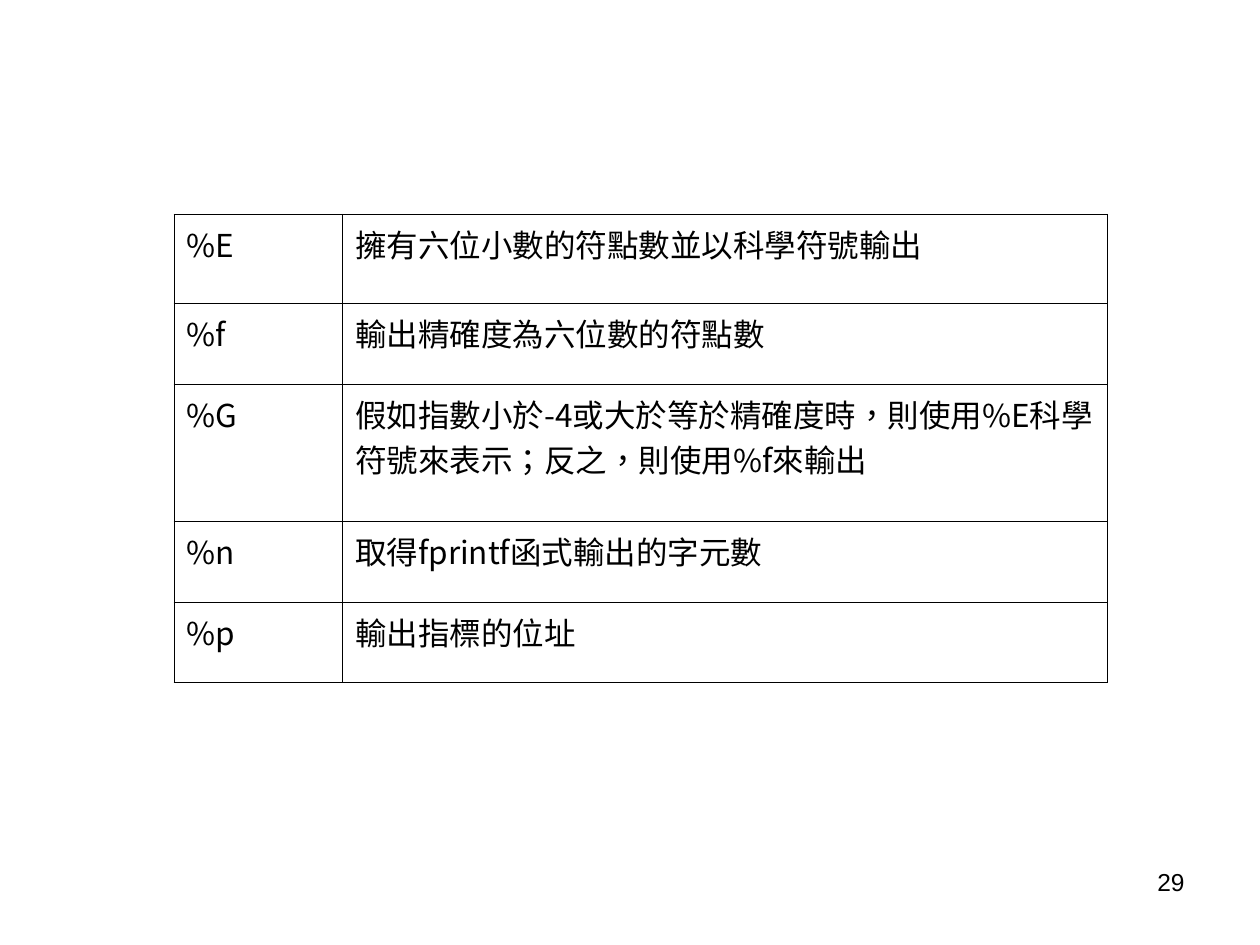
from lxml.etree import SubElement
from pptx import Presentation
from pptx.dml.color import RGBColor
from pptx.enum.lang import MSO_LANGUAGE_ID as Language
from pptx.enum.text import PP_ALIGN as Align
from pptx.oxml.ns import qn
from pptx.util import Inches, Pt

COLORS = {"ink": "000000"}
TABLE_FONT = "Noto Sans CJK SC"
BORDER_WIDTH = Pt(0.45)
COLUMN_WIDTHS = [1.34, 6.07]
ROW_HEIGHTS = [0.71, 0.64, 1.09, 0.64, 0.64]
FORMAT_CODES = [
    ("%E", "擁有六位小數的符點數並以科學符號輸出"),
    ("%f", "輸出精確度為六位數的符點數"),
    ("%G", "假如指數小於-4或大於等於精確度時，則使用%E科學符號來表示；反之，則使用%f來輸出"),
    ("%n", "取得fprintf函式輸出的字元數"),
    ("%p", "輸出指標的位址"),
]


def style_paragraph(paragraph, font_name, size):
    font = paragraph.font
    font.name = font_name
    font.size = Pt(size)
    font.color.rgb = RGBColor.from_string(COLORS["ink"])


def set_east_asian_font(run):
    run.font.language_id = Language.TRADITIONAL_CHINESE
    SubElement(run._r.get_or_add_rPr(), qn("a:ea"), typeface=TABLE_FONT)


def draw_borders(cell):
    properties = cell._tc.get_or_add_tcPr()
    for side in ("lnL", "lnR", "lnT", "lnB"):
        line = SubElement(properties, qn(f"a:{side}"), w=str(BORDER_WIDTH))
        fill = SubElement(line, qn("a:solidFill"))
        SubElement(fill, qn("a:srgbClr"), val=COLORS["ink"])


def fill_cell(cell, text):
    paragraph = cell.text_frame.paragraphs[0]
    run = paragraph.add_run()
    run.text = text
    style_paragraph(paragraph, TABLE_FONT, 18)
    set_east_asian_font(run)
    draw_borders(cell)
    cell.fill.background()


def add_format_table(slide, left, top, width, height):
    table = slide.shapes.add_table(
        len(FORMAT_CODES), len(COLUMN_WIDTHS), left, top, width, height
    ).table
    table.first_row = table.horz_banding = False
    for column, column_width in zip(table.columns, COLUMN_WIDTHS):
        column.width = Inches(column_width)
    for row, row_height, texts in zip(table.rows, ROW_HEIGHTS, FORMAT_CODES):
        row.height = Inches(row_height)
        for cell, text in zip(row.cells, texts):
            fill_cell(cell, text)


def add_page_number(slide, number, left, top, width, height):
    frame = slide.shapes.add_textbox(left, top, width, height).text_frame
    frame.word_wrap = True
    paragraph = frame.paragraphs[0]
    paragraph.text = str(number)
    paragraph.alignment = Align.RIGHT
    style_paragraph(paragraph, "Arial", 14)


def main():
    presentation = Presentation()
    presentation.slide_width = Inches(10)
    presentation.slide_height = Inches(7.5)
    slide = presentation.slides.add_slide(presentation.slide_layouts[6])
    add_format_table(slide, Inches(1.38), Inches(1.7),
                     Inches(sum(COLUMN_WIDTHS)), Inches(sum(ROW_HEIGHTS)))
    add_page_number(slide, 29, Inches(7.17), Inches(6.83), Inches(2.33), Inches(0.52))
    presentation.save("out.pptx")


if __name__ == "__main__":
    main()
